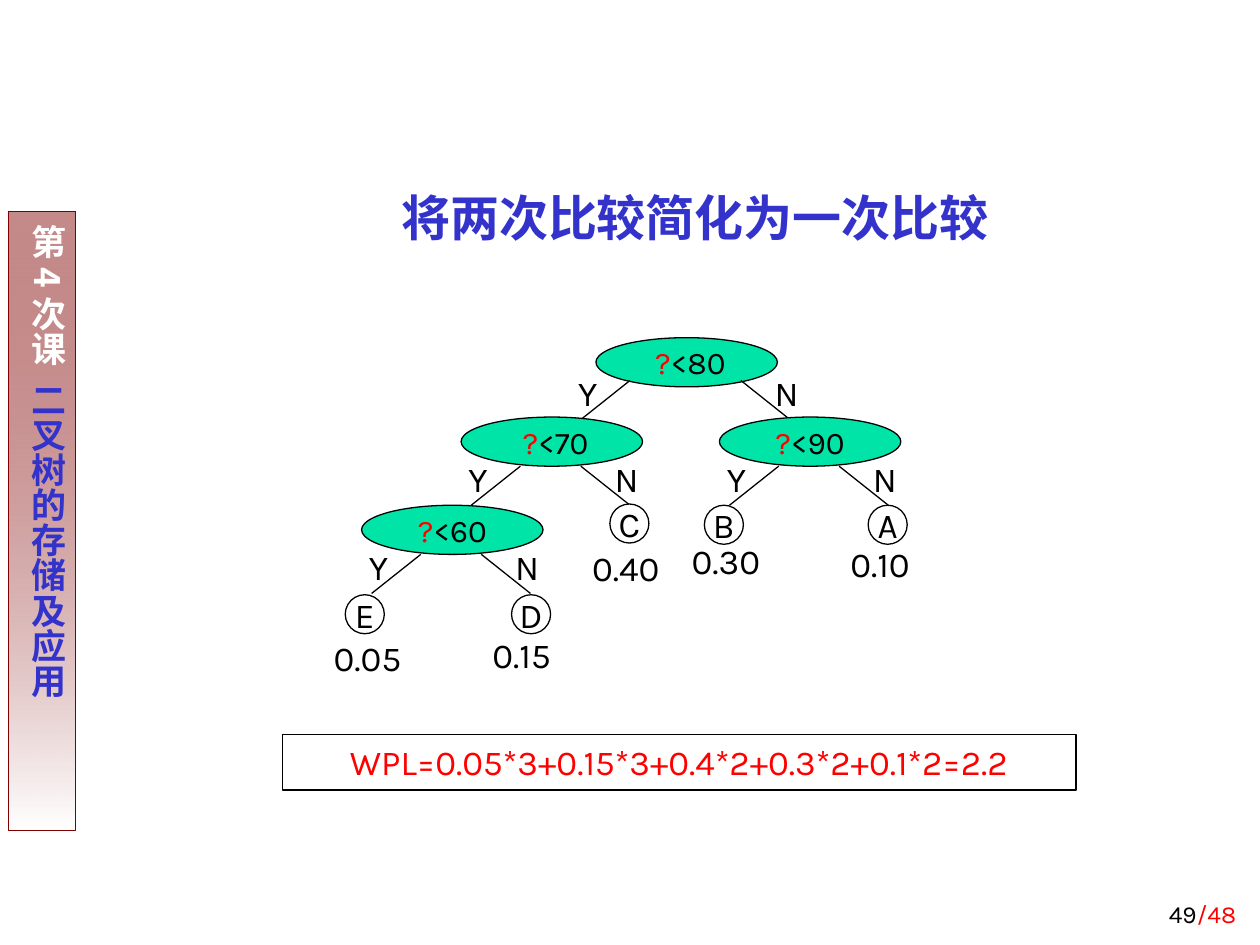
from lxml.etree import SubElement
from pptx import Presentation
from pptx.dml.color import RGBColor
from pptx.enum.shapes import MSO_CONNECTOR, MSO_SHAPE
from pptx.enum.text import MSO_ANCHOR, MSO_AUTO_SIZE, PP_ALIGN
from pptx.oxml.ns import qn
from pptx.util import Inches, Pt

BLACK, WHITE, RED, BLUE = "000000", "FFFFFF", "FF0000", "3333CC"
MAROON, GREEN = "800000", "00E4A8"
CHINESE_FONT = "Noto Sans CJK SC"


def color(value):
    return RGBColor.from_string(value)


def add_text(kind, box, runs, size=20, fill=None, line=BLACK, bold=None,
             align=PP_ALIGN.LEFT, font="Karla", **frame_format):
    lengths = [Inches(value) for value in box]
    if kind is None:
        shape = slide.shapes.add_textbox(*lengths)
    else:
        shape = slide.shapes.add_shape(kind, *lengths)
        shape.shadow.inherit = False
        shape.line.color.rgb = color(line)
        shape.line.width = Pt(0.75)
        if fill:
            shape.fill.solid()
            shape.fill.fore_color.rgb = color(fill)
        else:
            shape.fill.background()
    frame_values = {"word_wrap": True, "vertical_anchor": MSO_ANCHOR.TOP,
                    "auto_size": MSO_AUTO_SIZE.NONE} | frame_format
    for name, value in frame_values.items():
        setattr(shape.text_frame, name, value)
    paragraph = shape.text_frame.paragraphs[0]
    paragraph.alignment = align
    for text, text_color in runs:
        run = paragraph.add_run()
        run.text = text
        for name, value in {"name": font, "size": Pt(size), "bold": bold}.items():
            setattr(run.font, name, value)
        run.font.color.rgb = color(text_color)
        SubElement(run.font._element, qn("a:ea")).set("typeface", CHINESE_FONT)
    return shape


presentation = Presentation()
presentation.slide_width, presentation.slide_height = Inches(10), Inches(7.5)
slide = presentation.slides.add_slide(presentation.slide_layouts[6])

sidebar = add_text(MSO_SHAPE.RECTANGLE, (0.07, 1.68, 0.53, 4.91),
                   [("第4次课  ", WHITE), ("二叉树的存储及应用", BLUE)],
                   line=MAROON, bold=True, align=PP_ALIGN.CENTER, font=CHINESE_FONT,
                   margin_left=Inches(0.05), margin_right=Inches(0.05),
                   margin_top=Inches(0.1), margin_bottom=Inches(0.1))
sidebar.text_frame._txBody.bodyPr.set("vert", "eaVert")
sidebar.fill.gradient()
sidebar.fill.gradient_angle = 270
for stop, (position, stop_color) in zip(sidebar.fill.gradient_stops, [(0, MAROON), (1, WHITE)]):
    stop.position = position
    stop.color.rgb = color(stop_color)
first_color = next(sidebar._element.spPr.iter(qn("a:srgbClr")))
SubElement(first_color, qn("a:alpha")).set("val", "46000")

add_text(None, (7.83, 6.92, 2.08, 0.5), [("49", BLACK), ("/48", RED)], 14,
         align=PP_ALIGN.RIGHT, vertical_anchor=MSO_ANCHOR.BOTTOM)

title = add_text(None, (1.38, 1.44, 8.27, 0.85), [("将两次比较简化为一次比较", BLUE)],
                 28, bold=True, align=PP_ALIGN.CENTER)
title_paragraph = title.text_frame.paragraphs[0]
title_paragraph.space_before = Pt(7)
title_properties = title_paragraph._p.get_or_add_pPr()
title_properties.set("marL", str(Inches(0.38)))
title_properties.set("indent", str(Inches(-0.38)))

add_text(MSO_SHAPE.RECTANGLE, (2.24, 5.83, 6.3, 0.44),
         [("WPL=0.05*3+0.15*3+0.4*2+0.3*2+0.1*2=2.2", RED)],
         align=PP_ALIGN.CENTER, auto_size=MSO_AUTO_SIZE.SHAPE_TO_FIT_TEXT)

label_format = {"word_wrap": False, "auto_size": MSO_AUTO_SIZE.SHAPE_TO_FIT_TEXT}
node_format = {"align": PP_ALIGN.CENTER, "word_wrap": False,
               "vertical_anchor": MSO_ANCHOR.MIDDLE}

decisions = [
    (2.87, 4.01, "", "<60", 0, 0),
    (4.73, 2.68, " ", "<80", 0.2, 0.05),
    (3.66, 3.31, " ", "<70", 0, 0),
    (5.71, 3.31, "", "<90", 0, 0),
]
for left, top, lead, test, spread, lift in decisions:
    runs = [(lead, BLACK)] if lead else []
    add_text(MSO_SHAPE.OVAL, (left, top, 1.44, 0.39), runs + [("?", RED), (test, BLACK)],
             18, GREEN, **node_format)
    start_y = top + 0.39 - lift
    branches = [("Y", 0.47, -0.04, 0.36, -1), ("N", 0.95, 1.12, 0.41, 1)]
    for answer, start, label_left, label_width, side in branches:
        start_x = left + start + side * spread
        branch = slide.shapes.add_connector(
            MSO_CONNECTOR.STRAIGHT, Inches(start_x), Inches(start_y),
            Inches(start_x + side * 0.39), Inches(start_y + 0.31))
        branch.line.color.rgb = color(BLACK)
        branch.line.width = Pt(0.75)
        SubElement(branch._element.spPr, qn("a:effectLst"))
        add_text(None, (left + label_left + side * spread, start_y - 0.12, label_width, 0.44),
                 [(answer, BLACK)], **label_format)

leaves = [
    ("E", 2.74, 4.72, "0.05", 2.55, 5),
    ("D", 4.06, 4.72, "0.15", 3.81, 4.98),
    ("C", 4.84, 4, "0.40", 4.6, 4.29),
    ("B", 5.59, 4.01, "0.30", 5.39, 4.23),
    ("A", 6.89, 4.01, "0.10", 6.65, 4.26),
]
for letter, left, top, weight, weight_left, weight_top in leaves:
    add_text(MSO_SHAPE.OVAL, (left, top, 0.31, 0.31), [(letter, BLACK)],
             fill=WHITE, **node_format)
    add_text(None, (weight_left, weight_top, 0.75, 0.44), [(weight, BLACK)], **label_format)

presentation.save("out.pptx")
